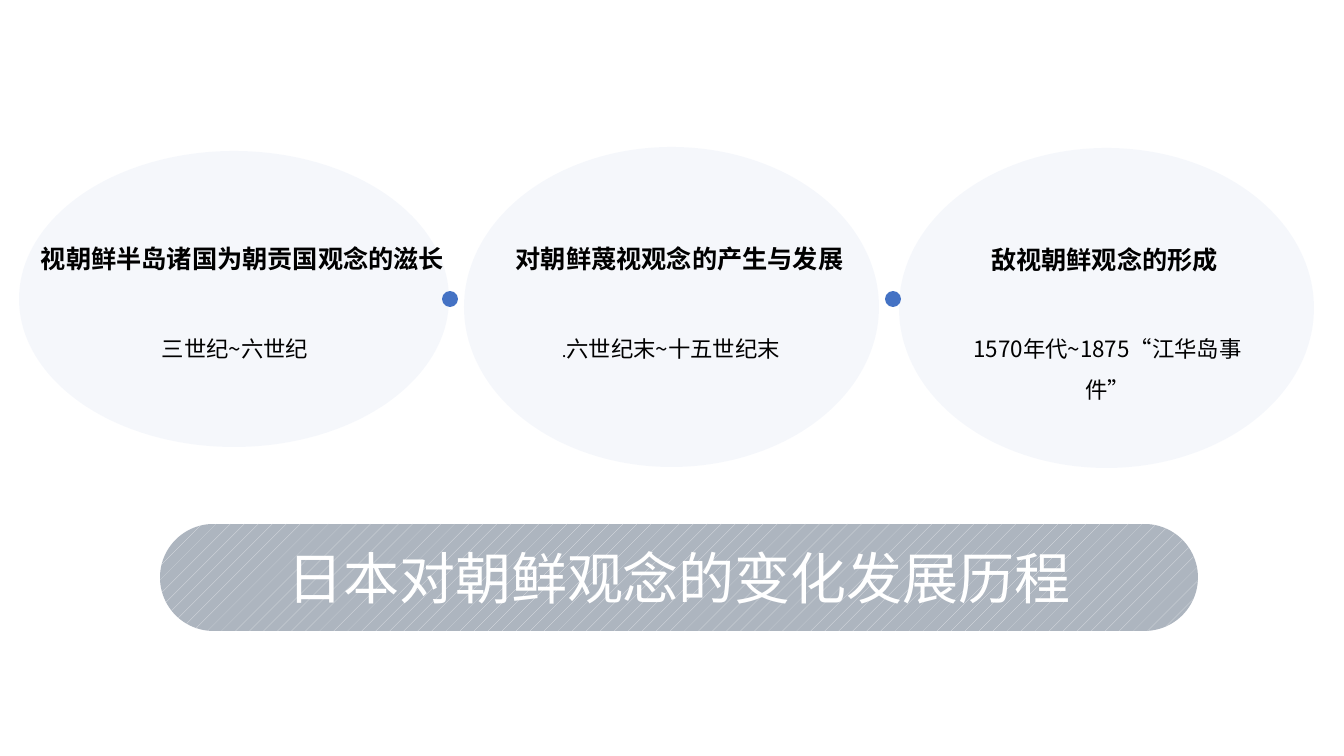
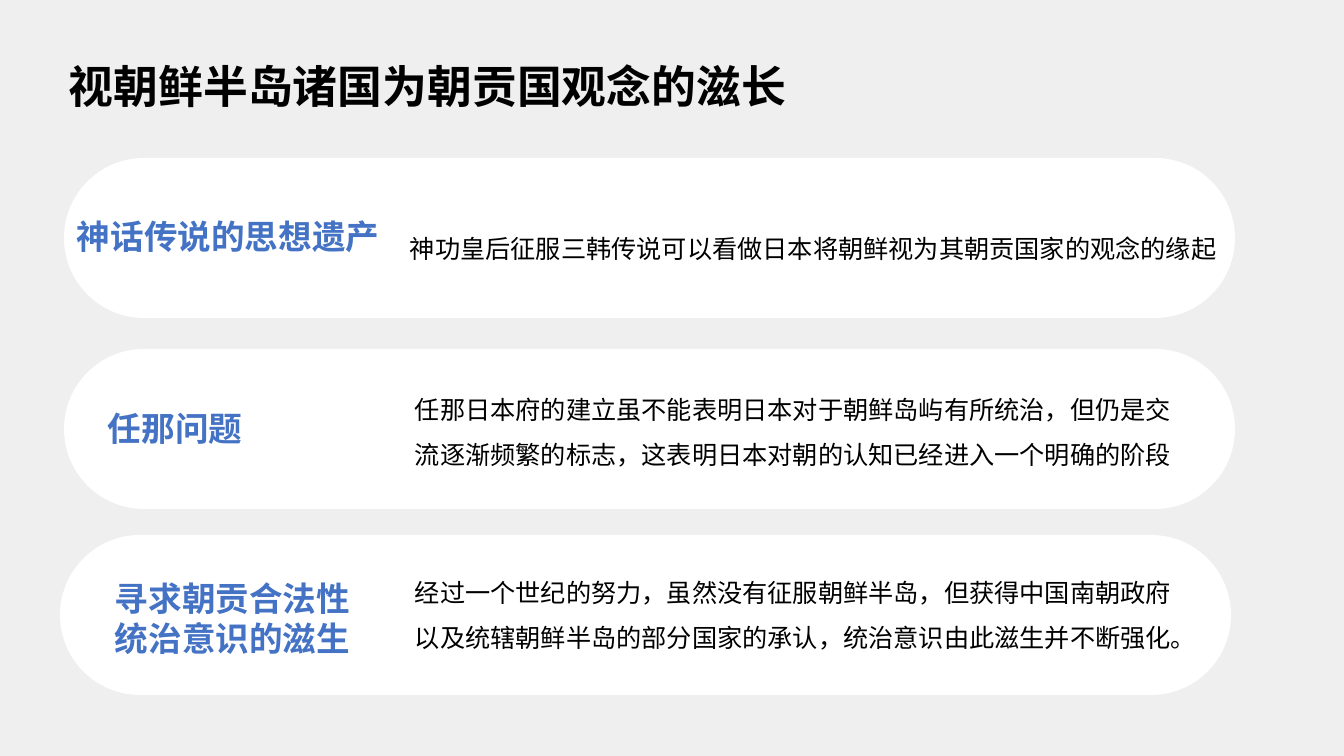
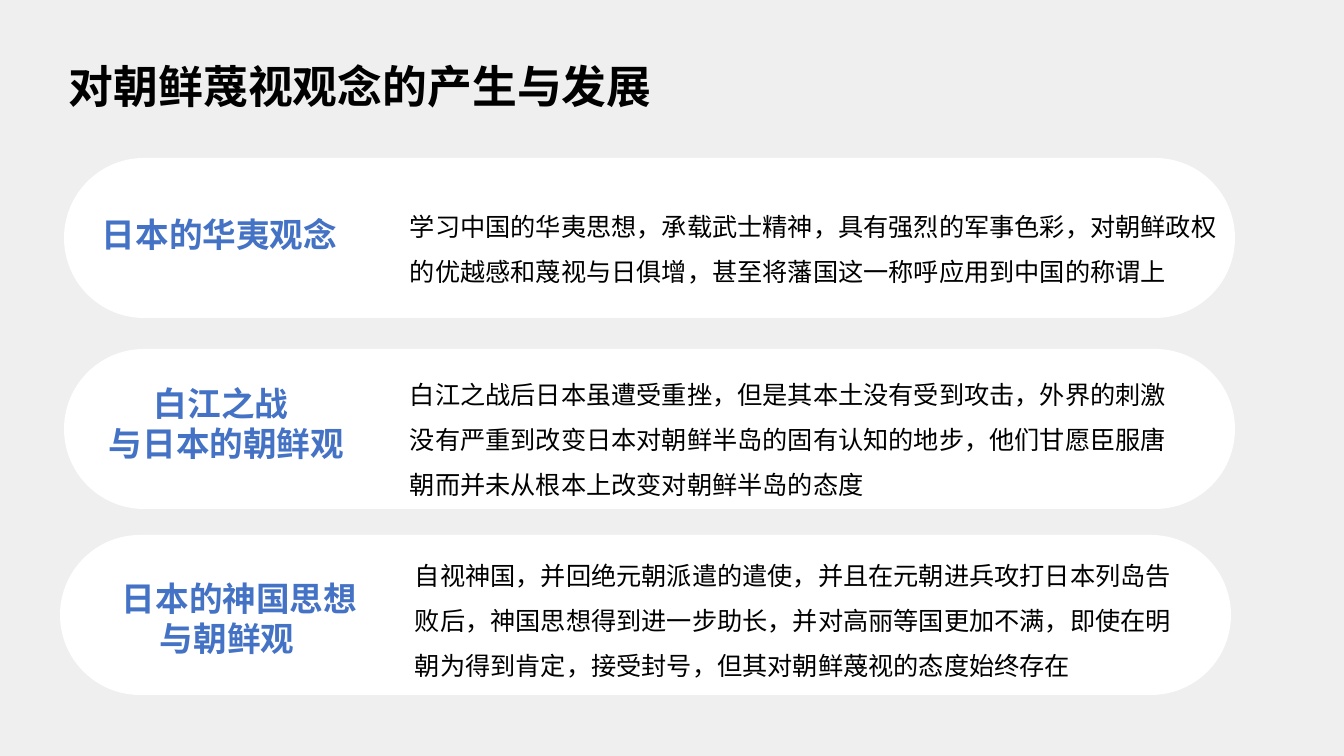
from pptx import Presentation
from pptx.dml.color import RGBColor
from pptx.enum.dml import MSO_PATTERN
from pptx.enum.lang import MSO_LANGUAGE_ID
from pptx.enum.shapes import MSO_SHAPE
from pptx.enum.text import MSO_ANCHOR, MSO_AUTO_SIZE, PP_ALIGN
from pptx.oxml.ns import qn
from pptx.util import Emu, Pt
from lxml.etree import SubElement

# Shared look
SLIDE_WIDTH, SLIDE_HEIGHT = 1344, 756
EMU_PER_PX = 12192000 / SLIDE_WIDTH
FONT = "Noto Sans CJK SC"
BLACK = RGBColor(0x00, 0x00, 0x00)
WHITE = RGBColor(0xFF, 0xFF, 0xFF)
BLUE = RGBColor(0x44, 0x72, 0xC4)
GRAY = RGBColor(0x80, 0x80, 0x80)
STRIPE = RGBColor(0xE4, 0xE6, 0xEA)
SLATE = RGBColor(0xAD, 0xB5, 0xBF)
TITLE_BOX = (59, 54, 869, 65)
CARD_WIDTH, CARD_HEIGHT = 1171, 160
CARD_CORNERS = [(64, 158), (64, 349), (60, 535)]

# Overview: oval, heading box, heading, period box, period runs (text, size)
STAGES = [
    ((19, 151, 430, 296), (-6, 238, 497, 40), "视朝鲜半岛诸国为朝贡国观念的滋长",
     (115, 317, 240, 46), [("三世纪~六世纪", 16)]),
    ((464, 147, 415, 320), (502, 238, 355, 40), "对朝鲜蔑视观念的产生与发展",
     (545, 317, 252, 46), [(".", 12), ("六世纪末~十五世纪末", 16)]),
    ((899, 148, 415, 320), (971, 239, 267, 40), "敌视朝鲜观念的形成",
     (959, 317, 297, 46), [("1570年代~1875“江华岛事件”", 16)]),
]
DOTS = [(442, 291, 16, 16), (885, 291, 16, 16)]
BANNER_BOX = (160, 524, 1038, 107)
BANNER = "日本对朝鲜观念的变化发展历程"

# Card slides: title, then heading box, heading lines (indent, text), body box, body
CARD_SLIDES = [
    ("视朝鲜半岛诸国为朝贡国观念的滋长", [
        ((59, 211, 341, 50), [(8, "神话传说的思想遗产")], (400, 213, 831, 51),
         "神功皇后征服三韩传说可以看做日本将朝鲜视为其朝贡国家的观念的缘起"),
        ((90, 403, 252, 50), [(8, "任那问题")], (405, 374, 780, 97),
         "任那日本府的建立虽不能表明日本对于朝鲜岛屿有所统治，但仍是交流逐渐频繁的标志，"
         "这表明日本对朝的认知已经进入一个明确的阶段"),
        ((97, 572, 285, 92), [(8, "寻求朝贡合法性"), (8, "统治意识的滋生")],
         (405, 557, 780, 97),
         "经过一个世纪的努力，虽然没有征服朝鲜半岛，但获得中国南朝政府以及统辖朝鲜半岛的"
         "部分国家的承认，统治意识由此滋生并不断强化。"),
    ]),
    ("对朝鲜蔑视观念的产生与发展", [
        ((84, 209, 341, 50), [(8, "日本的华夷观念")], (400, 191, 831, 97),
         "学习中国的华夷思想，承载武士精神，具有强烈的军事色彩，对朝鲜政权的优越感和蔑视"
         "与日俱增，甚至将藩国这一称呼应用到中国的称谓上"),
        ((84, 377, 338, 92), [(60, "白江之战"), (15, "与日本的朝鲜观")],
         (400, 359, 799, 143),
         "白江之战后日本虽遭受重挫，但是其本土没有受到攻击，外界的刺激没有严重到改变日本对"
         "朝鲜半岛的固有认知的地步，他们甘愿臣服唐朝而并未从根本上改变对朝鲜半岛的态度"),
        ((97, 572, 285, 92), [(15, "日本的神国思想"), (53, "与朝鲜观")],
         (405, 540, 780, 143),
         "自视神国，并回绝元朝派遣的遣使，并且在元朝进兵攻打日本列岛告败后，神国思想得到"
         "进一步助长，并对高丽等国更加不满，即使在明朝为得到肯定，接受封号，"
         "但其对朝鲜蔑视的态度始终存在"),
    ]),
]


def px(length):
    return Emu(round(length * EMU_PER_PX))


def add_shape(page, kind, box, color, alpha=None):
    shape = page.shapes.add_shape(kind, *map(px, box))
    shape.shadow.inherit = False
    shape.line.fill.background()
    shape.fill.solid()
    shape.fill.fore_color.rgb = color
    if alpha is not None:
        color_node = shape.fill._xPr.find(qn("a:solidFill"))[0]
        SubElement(color_node, qn("a:alpha")).set("val", str(alpha * 1000))
    return shape


def add_pill(page, box, color):
    pill = add_shape(page, MSO_SHAPE.ROUNDED_RECTANGLE, box, color)
    pill.adjustments[0] = 0.5
    return pill


def add_span(para, text, size, color=BLACK, bold=False):
    span = para.add_run()
    span.text = text
    font = span.font
    font.name, font.size, font.bold = FONT, Pt(size), bold
    font.color.rgb = color
    font.language_id = MSO_LANGUAGE_ID.SIMPLIFIED_CHINESE
    latin = span._r.rPr.find(qn("a:latin"))
    east_asian = latin.makeelement(qn("a:ea"), {"typeface": FONT})
    latin.addnext(east_asian)


def add_text(page, box, lines, color=BLACK, bold=False, align=PP_ALIGN.LEFT,
             anchor=MSO_ANCHOR.TOP, spacing=None):
    """Each line is (indent, [(text, size), ...])."""
    frame = page.shapes.add_textbox(*map(px, box)).text_frame
    frame.word_wrap = True
    frame.auto_size = MSO_AUTO_SIZE.SHAPE_TO_FIT_TEXT
    frame.vertical_anchor = anchor
    for index, (indent, spans) in enumerate(lines):
        para = frame.add_paragraph() if index else frame.paragraphs[0]
        para.alignment = align
        if spacing:
            para.line_spacing = spacing
        if indent:
            para._p.get_or_add_pPr().set("marL", str(px(indent)))
        for text, size in spans:
            add_span(para, text, size, color, bold)


def build_overview(page):
    for dot in DOTS:
        add_shape(page, MSO_SHAPE.OVAL, dot, BLUE)
    for oval, heading_box, heading, period_box, period in STAGES:
        add_shape(page, MSO_SHAPE.OVAL, oval, BLUE, alpha=5)
        add_text(page, heading_box, [(0, [(heading, 18)])], bold=True,
                 align=PP_ALIGN.CENTER)
        add_text(page, period_box, [(0, period)], align=PP_ALIGN.CENTER, spacing=1.5)
    # Hatched banner
    banner = add_pill(page, BANNER_BOX, SLATE)
    banner.fill.patterned()
    banner.fill.pattern = MSO_PATTERN.PERCENT_5
    banner.fill.fore_color.rgb = STRIPE
    banner.fill.back_color.rgb = SLATE
    banner.text_frame.vertical_anchor = MSO_ANCHOR.MIDDLE
    para = banner.text_frame.paragraphs[0]
    para.alignment = PP_ALIGN.CENTER
    add_span(para, BANNER, 40, WHITE)


def build_cards(page, title, cards):
    add_shape(page, MSO_SHAPE.RECTANGLE, (0, 0, SLIDE_WIDTH, SLIDE_HEIGHT), GRAY, alpha=12)
    add_text(page, TITLE_BOX, [(0, [(title, 32)])], bold=True)
    for corner, (heading_box, heading, body_box, body) in zip(CARD_CORNERS, cards):
        add_pill(page, (*corner, CARD_WIDTH, CARD_HEIGHT), WHITE)
        lines = [(indent, [(text, 24)]) for indent, text in heading]
        add_text(page, heading_box, lines, BLUE, bold=True, anchor=MSO_ANCHOR.MIDDLE)
        add_text(page, body_box, [(0, [(body, 18)])], spacing=1.5)


def main():
    deck = Presentation()
    deck.slide_width, deck.slide_height = px(SLIDE_WIDTH), px(SLIDE_HEIGHT)
    blank = deck.slide_layouts[6]
    build_overview(deck.slides.add_slide(blank))
    for title, cards in CARD_SLIDES:
        build_cards(deck.slides.add_slide(blank), title, cards)
    deck.save("out.pptx")


if __name__ == "__main__":
    main()
